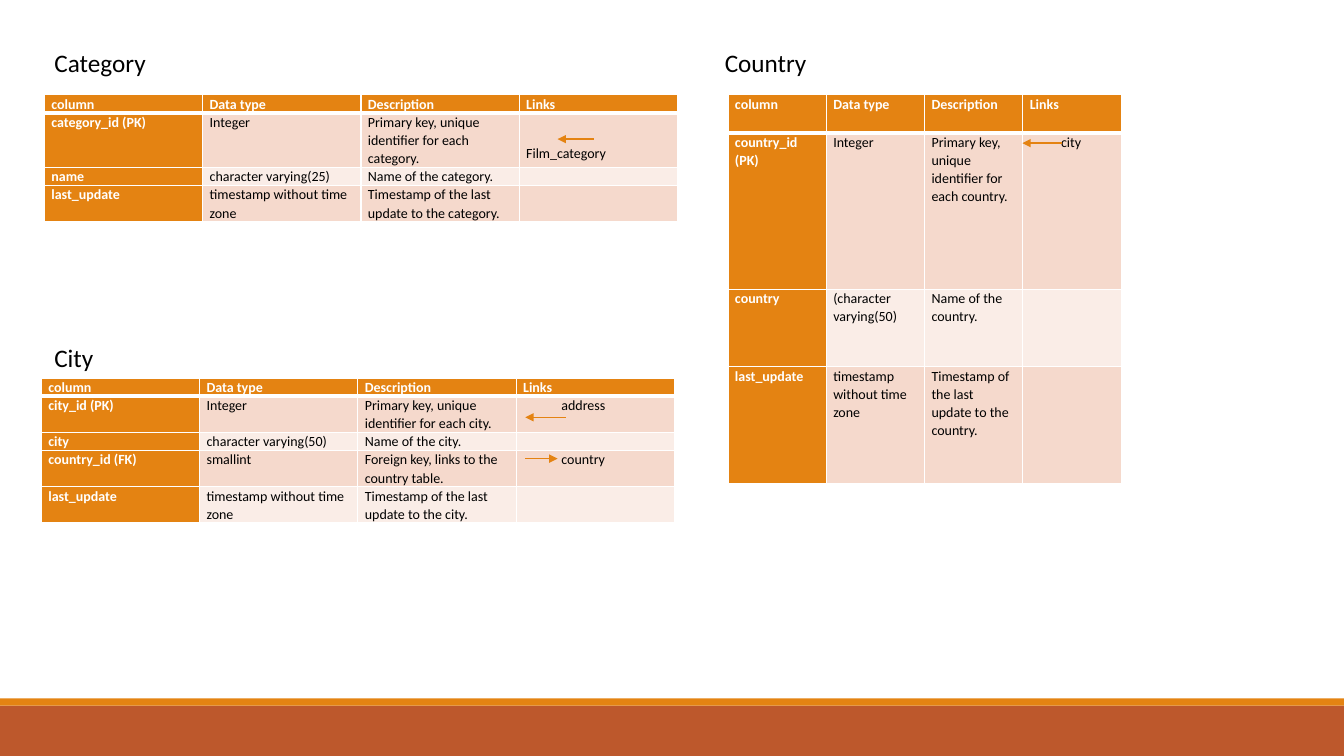
import pptx
import pptx.dml.color
import pptx.enum.shapes
import pptx.enum.text
import pptx.oxml
import pptx.oxml.ns
import pptx.util
from pptx.util import Inches

COLORS = {"orange": "E48312", "rust": "BD582C", "odd": "F5D9CC", "even": "FAEDE7",
          "white": "FFFFFF", "black": "000000"}

HEADER = ("column", "Data type", "Description", "Links")

TABLES = [
    {"heading": "Category", "heading_at": (0.44, 0.42), "at": (0.44, 0.94),
     "column_width": 1.57, "heights": (0.18, 0.54, 0.18, 0.36),
     "link_indent": 0, "link_top": 0.31,
     "rows": [
         ("category_id (PK)", "Integer", "Primary key, unique identifier for each category.",
          "Film_category"),
         ("name", "character varying(25)", "Name of the category.", ""),
         ("last_update", "timestamp without time zone",
          "Timestamp of the last update to the category.", "")]},
    {"heading": "City", "heading_at": (0.44, 3.35), "at": (0.41, 3.75),
     "column_width": 1.57, "heights": (0.18, 0.36, 0.18, 0.36, 0.36),
     "link_indent": 0.38, "link_top": 0,
     "rows": [
         ("city_id (PK)", "Integer", "Primary key, unique identifier for each city.", "address"),
         ("city", "character varying(50)", "Name of the city.", ""),
         ("country_id (FK)", "smallint", "Foreign key, links to the country table.", "country"),
         ("last_update", "timestamp without time zone",
          "Timestamp of the last update to the city.", "")]},
    {"heading": "Country", "heading_at": (7.09, 0.42), "at": (7.22, 0.94),
     "column_width": 0.975, "heights": (0.38, 1.55, 0.77, 1.16),
     "link_indent": 0.31, "link_top": 0,
     "rows": [
         ("country_id (PK)", "Integer", "Primary key, unique identifier for each country.", "city"),
         ("country", "(character varying(50)", "Name of the country.", ""),
         ("last_update", "timestamp without time zone",
          "Timestamp of the last update to the country.", "")]},
]

ARROWS = [(5.89, 5.53, 1.38), (5.61, 5.21, 4.14), (5.21, 5.53, 4.55), (10.53, 10.14, 1.42)]
BARS = [(7, 0.5, "rust"), (6.93, 0.07, "orange")]


def color(name):
    return pptx.dml.color.RGBColor.from_string(COLORS[name])


def add_xml(parent, markup, index=None):
    namespace = pptx.oxml.ns.nsdecls("a")
    element = pptx.oxml.parse_xml(markup.replace(">", f" {namespace}>", 1)
                                  if "/>" not in markup.split(">", 1)[0] + ">"
                                  else markup.replace("/>", f" {namespace}/>", 1))
    parent.insert(len(parent) if index is None else index, element)


def write(frame, text, size=10, ink="black", bold=False, line_spacing=None, after=0, indent=0):
    frame.word_wrap = True
    para = frame.paragraphs[0]
    para.alignment = pptx.enum.text.PP_ALIGN.LEFT
    para.line_spacing = line_spacing
    para.space_after = pptx.util.Pt(after)
    if indent:
        properties = para._p.get_or_add_pPr()
        properties.set("marL", str(Inches(indent)))
        properties.set("indent", "0")
    if not text:
        add_xml(para._p, f'<a:endParaRPr sz="{size * 100}"/>')
        return
    span = para.add_run()
    span.text = text
    span.font.name = "Calibri"
    span.font.size = pptx.util.Pt(size)
    span.font.bold = bold
    span.font.color.rgb = color(ink)


def border_cell(cell, top, bottom):
    properties = cell._tc.get_or_add_tcPr()
    for index, (side, points) in enumerate((("L", 1), ("R", 1), ("T", top), ("B", bottom))):
        add_xml(properties, f'<a:ln{side} w="{points * 12700}"><a:solidFill>'
                f'<a:srgbClr val="{COLORS["white"]}"/></a:solidFill></a:ln{side}>', index)


def add_heading(slide, entry):
    left, top = (Inches(value) for value in entry["heading_at"])
    if entry is TABLES[0]:
        box = slide.shapes.title
        box.left, box.top, box.width, box.height = left, top, Inches(3), Inches(0.4)
    else:
        box = slide.shapes.add_textbox(left, top, Inches(1.71), Inches(0.4))
    box.text_frame.vertical_anchor = pptx.enum.text.MSO_ANCHOR.TOP
    write(box.text_frame, entry["heading"], size=18)


def add_schema(slide, entry):
    rows = [HEADER] + entry["rows"]
    left, top = entry["at"]
    table = slide.shapes.add_table(
        len(rows), len(HEADER), Inches(left), Inches(top),
        Inches(entry["column_width"] * len(HEADER)), Inches(sum(entry["heights"]))).table
    for column in table.columns:
        column.width = Inches(entry["column_width"])
    for row_index, values in enumerate(rows):
        table.rows[row_index].height = Inches(entry["heights"][row_index])
        for column_index, text in enumerate(values):
            cell = table.cell(row_index, column_index)
            strong = row_index == 0 or column_index == 0
            link = bool(text) and row_index > 0 and column_index == 3
            cell.margin_left = cell.margin_right = Inches(0.07)
            cell.margin_top = Inches(entry["link_top"] if link else 0)
            cell.margin_bottom = 0
            cell.fill.solid()
            cell.fill.fore_color.rgb = color(
                "orange" if strong else "odd" if row_index % 2 else "even")
            border_cell(cell, top=3 if row_index == 1 else 1, bottom=3 if row_index == 0 else 1)
            write(cell.text_frame, text, ink="white" if strong else "black", bold=strong,
                  line_spacing=1.07, after=8, indent=entry["link_indent"] if link else 0)


def add_arrow(slide, start, end, height):
    arrow = slide.shapes.add_connector(pptx.enum.shapes.MSO_CONNECTOR.STRAIGHT,
                                       Inches(start), Inches(height), Inches(end), Inches(height))
    arrow.line.color.rgb = color("orange")
    arrow.line.width = pptx.util.Pt(1)
    add_xml(arrow.line._get_or_add_ln(), '<a:tailEnd type="triangle"/>')
    add_xml(arrow._element.spPr, "<a:effectLst/>")


def main():
    deck = pptx.Presentation()
    deck.slide_width, deck.slide_height = Inches(13.33), Inches(7.5)
    page = deck.slides.add_slide(deck.slide_layouts[5])
    for top, height, fill in BARS:
        bar = page.shapes.add_shape(pptx.enum.shapes.MSO_SHAPE.RECTANGLE,
                                    0, Inches(top), deck.slide_width, Inches(height))
        bar.shadow.inherit = False
        bar.fill.solid()
        bar.fill.fore_color.rgb = color(fill)
        bar.line.fill.background()
    for entry in TABLES:
        add_heading(page, entry)
        add_schema(page, entry)
    for start, end, height in ARROWS:
        add_arrow(page, start, end, height)
    deck.save("out.pptx")


if __name__ == "__main__":
    main()
